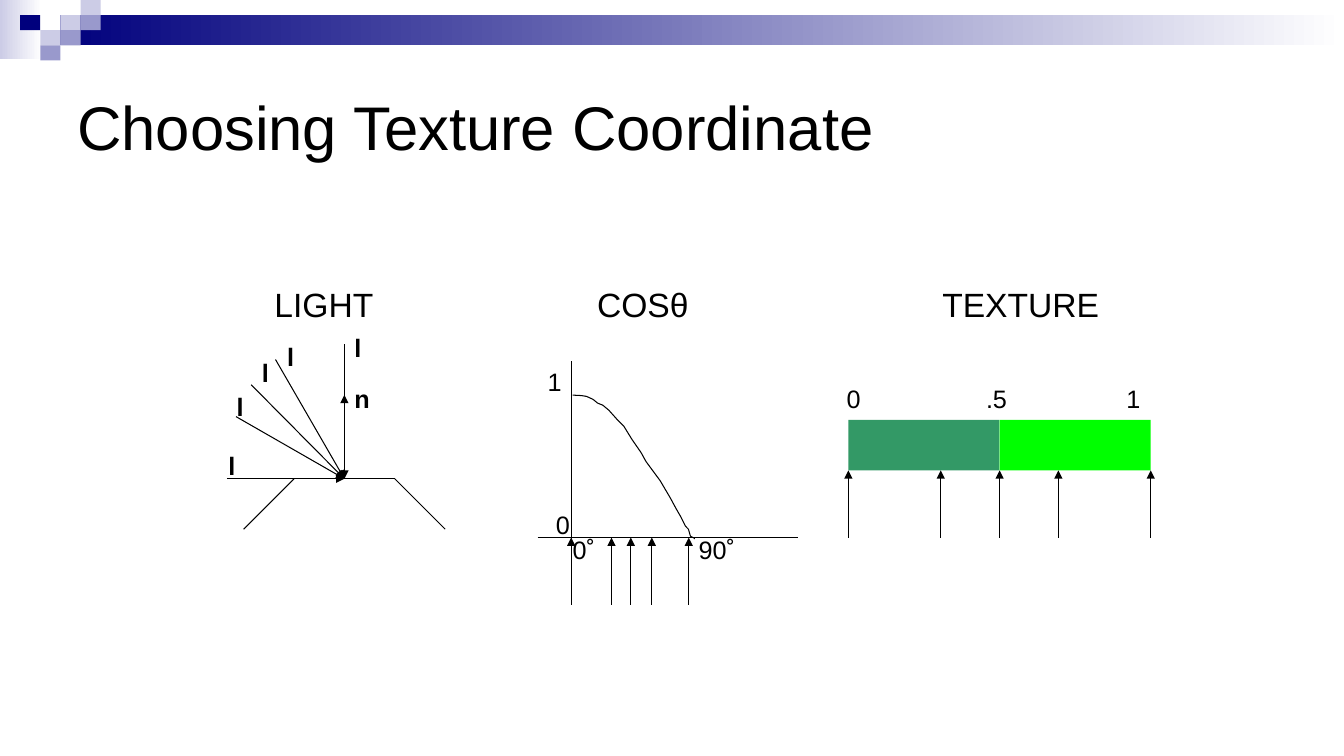
from dataclasses import dataclass

from lxml import etree
from pptx import Presentation
from pptx.dml.color import RGBColor
from pptx.enum.shapes import MSO_CONNECTOR, MSO_SHAPE
from pptx.enum.text import MSO_ANCHOR, PP_ALIGN
from pptx.oxml.ns import qn
from pptx.util import Emu, Inches, Pt

RECTANGLE = MSO_SHAPE.RECTANGLE
STRAIGHT = MSO_CONNECTOR.STRAIGHT
TOP, MIDDLE = MSO_ANCHOR.TOP, MSO_ANCHOR.MIDDLE
LEFT = PP_ALIGN.LEFT

COLUMNS, ROWS = 160, 90
TILE_WIDTH, TILE_HEIGHT = 2.4, 1.8

Point = tuple[float, float]


@dataclass(frozen=True)
class Theme:
    font: str = "Arial"
    title_size: int = 44
    heading_size: int = 24
    label_size: int = 18
    line_width: float = 0.75
    ink: str = "000000"
    white: str = "FFFFFF"
    navy: str = "00007D"
    lavender: str = "CCCCE6"
    periwinkle: str = "9999CC"
    dark_texel: str = "339966"
    bright_texel: str = "00FF00"


@dataclass(frozen=True)
class Box:
    column: float
    row: float
    width: float
    height: float


@dataclass(frozen=True)
class Label:
    text: str
    column: float
    row: float
    bold: bool = False


@dataclass(frozen=True)
class LightSample:
    """One light direction with its place on the cosine and texture axes."""
    ray_start: Point
    label_at: Point
    angle_column: float
    texture_column: float


THEME = Theme()

HEADER_TILES = [
    (3, 1, THEME.lavender), (4, 0, THEME.lavender), (4, 1, THEME.periwinkle),
    (2, 2, THEME.lavender), (1, 1, THEME.navy), (3, 2, THEME.periwinkle),
    (2, 3, THEME.periwinkle),
]
HEADINGS = [Label("LIGHT", 31.5, 33.2), Label("COSθ", 69.9, 33.2),
            Label("TEXTURE", 111, 33.2)]
LABELS = [
    Label("n", 41, 45, bold=True),
    Label("1", 64, 43), Label("0", 65, 60),
    Label("0˚", 67, 63), Label("90˚", 82, 63),
    Label("0", 99.6, 45), Label(".5", 116.2, 45), Label("1", 132.9, 45),
]
SURFACE = [(29, 63), (35, 57), (47, 57), (53, 63)]
LIT_POINT, NORMAL_TIP = (41, 57), (41, 47)
SAMPLES = [
    LightSample((27, 57), (26, 53), 82, 101),
    LightSample((28.1, 49.6), (27, 46), 77.6, 112),
    LightSample((29.9, 45.8), (30, 42), 75.1, 119),
    LightSample((32.8, 42.8), (33, 40), 72.8, 126),
    LightSample((41, 41), (41, 39), 68, 137),
]
ANGLE_AXIS_ROW, TEXTURE_BASE_ROW, ARROW_LENGTH = 64, 56, 8
COSINE_CURVE = [
    (68.16, 47.04), (69.24, 47.1), (69.84, 47.2), (70.6, 47.55), (71.16, 48),
    (71.76, 48.24), (72.48, 48.84), (73.56, 50.04), (74.28, 50.76),
    (75.24, 52.32), (76.32, 53.88), (76.92, 54.96), (78.6, 57.24),
    (79.8, 59.28), (80.52, 60.6), (81, 61.44), (81.6, 62.64), (81.96, 63),
    (82.2, 63.84), (82.68, 64.08), (82.68, 64.2),
]

presentation = Presentation()
presentation.slide_width = Emu(12192000)
presentation.slide_height = Inches(7.5)
slide = presentation.slides.add_slide(presentation.slide_layouts[6])


def x(column: float) -> Emu:
    return Emu(round(presentation.slide_width * column / COLUMNS))


def y(row: float) -> Emu:
    return Emu(round(presentation.slide_height * row / ROWS))


def add_rectangle(box: Box, color: str, fade_to: str | None = None) -> None:
    """Fill a borderless rectangle, fading left to right if fade_to is set."""
    block = slide.shapes.add_shape(RECTANGLE, x(box.column), y(box.row),
                                   x(box.width), y(box.height))
    block.shadow.inherit = False
    block.line.fill.background()
    if fade_to is None:
        block.fill.solid()
        block.fill.fore_color.rgb = RGBColor.from_string(color)
        return
    block.fill.gradient()
    block.fill.gradient_angle = 0
    for stop, position, shade in zip(block.fill.gradient_stops, (0, 1),
                                     (color, fade_to)):
        stop.position = position
        stop.color.rgb = RGBColor.from_string(shade)


def add_text(box: Box, text: str, size: int, bold: bool = False,
             anchor: MSO_ANCHOR = TOP) -> None:
    frame = slide.shapes.add_textbox(x(box.column), y(box.row),
                                     x(box.width), y(box.height)).text_frame
    frame.word_wrap = True
    frame.vertical_anchor = anchor
    paragraph = frame.paragraphs[0]
    paragraph.alignment = LEFT
    run = paragraph.add_run()
    run.text = text
    run.font.name = THEME.font
    run.font.size = Pt(size)
    run.font.bold = bold
    run.font.color.rgb = RGBColor.from_string(THEME.ink)


def add_label(label: Label) -> None:
    add_text(Box(label.column, label.row, 8, 4.8), label.text,
             THEME.label_size, label.bold)


def add_line(start: Point, end: Point, arrow: bool = False) -> None:
    connector = slide.shapes.add_connector(STRAIGHT, x(start[0]), y(start[1]),
                                           x(end[0]), y(end[1]))
    connector.line.width = Pt(THEME.line_width)
    connector.line.color.rgb = RGBColor.from_string(THEME.ink)
    properties = connector.element.spPr
    if arrow:
        etree.SubElement(properties.find(qn("a:ln")), qn("a:tailEnd"),
                         type="triangle")
    etree.SubElement(properties, qn("a:effectLst"))


def add_up_arrow(column: float, tip_row: float) -> None:
    add_line((column, tip_row + ARROW_LENGTH), (column, tip_row), arrow=True)


def add_curve(points: list[Point]) -> None:
    vertices = [(x(column), y(row)) for column, row in points]
    builder = slide.shapes.build_freeform(*vertices[0])
    builder.add_line_segments(vertices[1:], close=False)
    curve = builder.convert_to_shape()
    curve.shadow.inherit = False
    curve.fill.background()
    curve.line.width = Pt(THEME.line_width)
    curve.line.color.rgb = RGBColor.from_string(THEME.ink)


def main() -> None:
    add_rectangle(Box(0, 0, 5, 7), THEME.lavender, fade_to=THEME.white)
    add_rectangle(Box(7.2, 1.8, COLUMNS - 7.2, 3.6), THEME.navy,
                  fade_to=THEME.white)
    for column, row, color in HEADER_TILES:
        add_rectangle(Box(column * TILE_WIDTH, row * TILE_HEIGHT,
                          TILE_WIDTH, TILE_HEIGHT), color)

    add_text(Box(8, 6, 144, 18), "Choosing Texture Coordinate",
             THEME.title_size, anchor=MIDDLE)
    for heading in HEADINGS:
        add_text(Box(heading.column, heading.row, 24, 6), heading.text,
                 THEME.heading_size)

    for start, end in zip(SURFACE, SURFACE[1:]):
        add_line(start, end)
    add_line(LIT_POINT, NORMAL_TIP, arrow=True)
    add_line((68, 43), (68, 66))
    add_line((64, ANGLE_AXIS_ROW), (95, ANGLE_AXIS_ROW))
    add_curve(COSINE_CURVE)
    add_rectangle(Box(101, 50, 18, 6), THEME.dark_texel)
    add_rectangle(Box(119, 50, 18, 6), THEME.bright_texel)

    for label in LABELS:
        add_label(label)
    for sample in SAMPLES:
        add_line(sample.ray_start, LIT_POINT, arrow=True)
        add_label(Label("l", *sample.label_at, bold=True))
        add_up_arrow(sample.angle_column, ANGLE_AXIS_ROW)
        add_up_arrow(sample.texture_column, TEXTURE_BASE_ROW)

    presentation.save("out.pptx")


if __name__ == "__main__":
    main()
